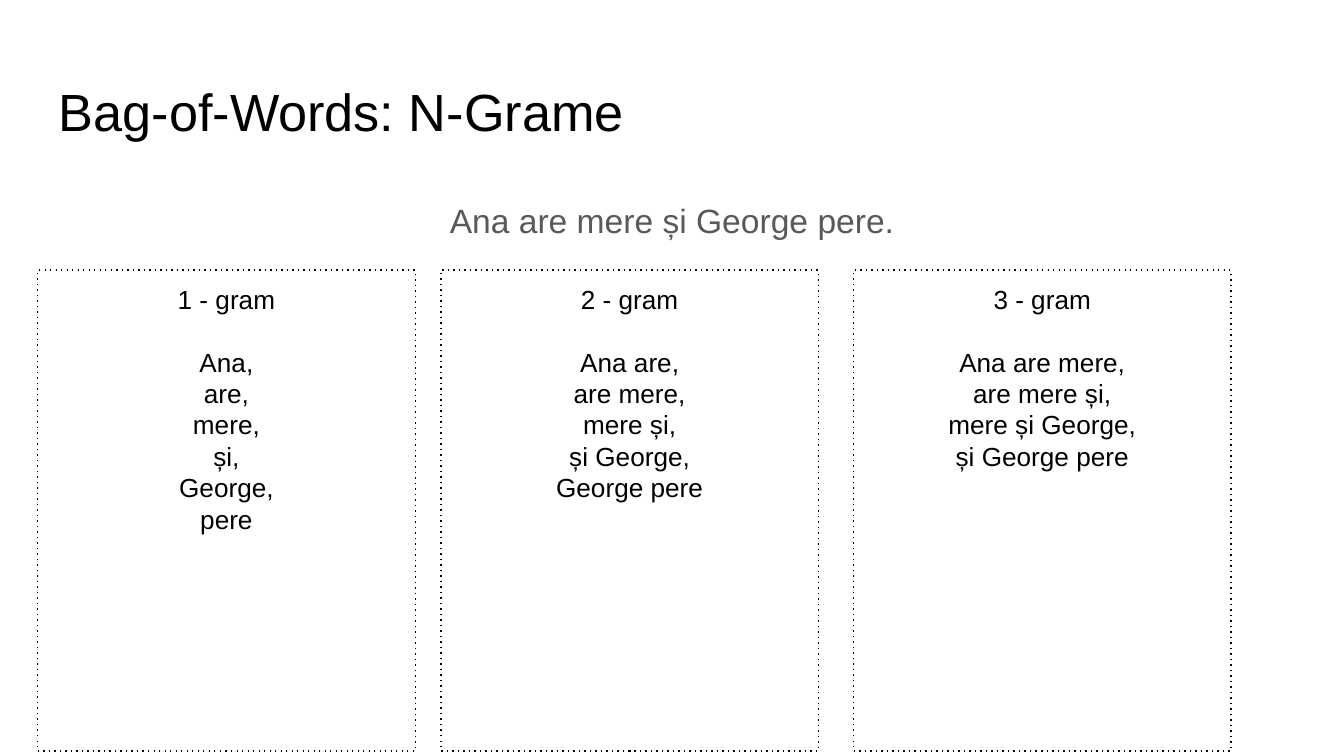
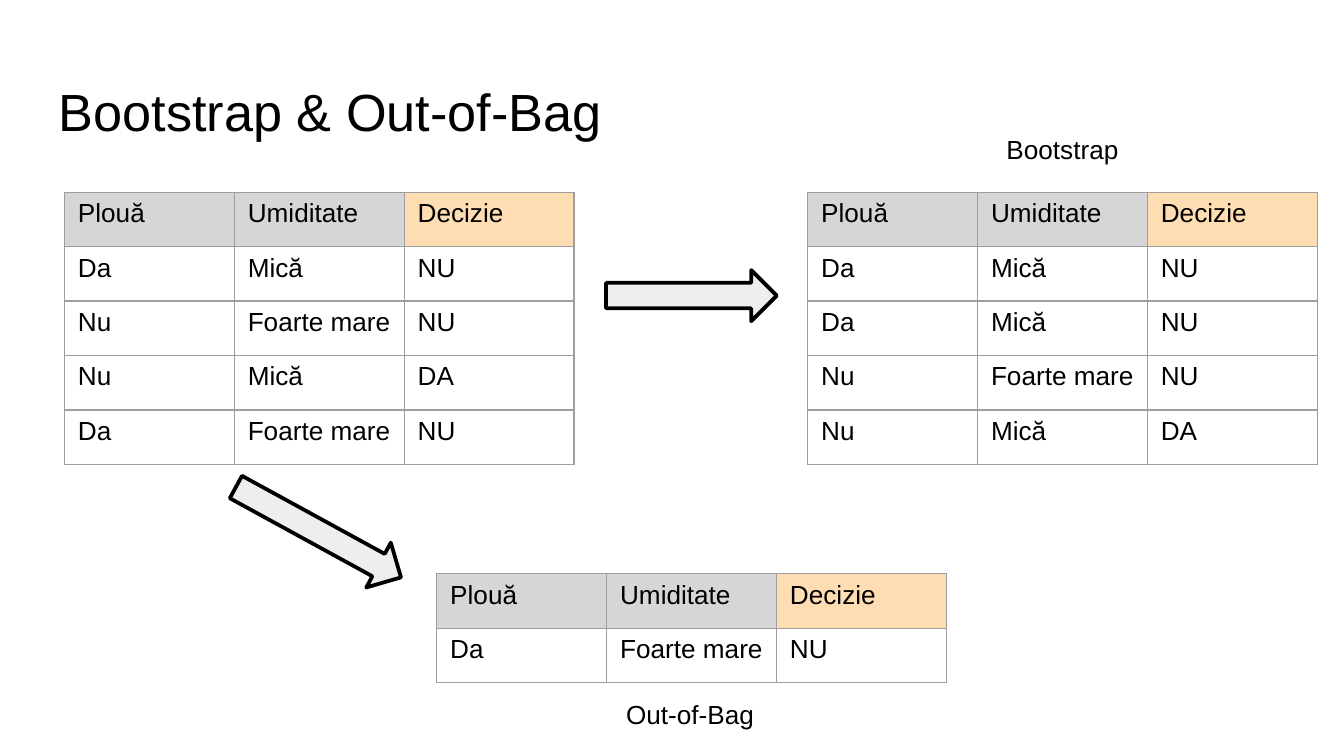
from lxml import etree
from pptx import Presentation
from pptx.dml.color import RGBColor
from pptx.enum.dml import MSO_LINE
from pptx.enum.shapes import MSO_SHAPE
from pptx.enum.text import MSO_ANCHOR, PP_ALIGN
from pptx.oxml.ns import qn
from pptx.util import Pt

PX = 9144  # 100 px to the inch
FONT = "Arial"
BLACK = RGBColor(0x00, 0x00, 0x00)
WHITE = RGBColor(0xFF, 0xFF, 0xFF)
BODY_GRAY = RGBColor(0x59, 0x59, 0x59)
HEADER_GRAY = RGBColor(0xD6, 0xD6, 0xD6)
DECISION_ORANGE = RGBColor(0xFF, 0xDD, 0xB3)
ARROW_GRAY = RGBColor(0xEE, 0xEE, 0xEE)
BORDER_HEX = "9E9E9E"
LEFT, CENTER = PP_ALIGN.LEFT, PP_ALIGN.CENTER
TOP = MSO_ANCHOR.TOP
ROUND_DOT = MSO_LINE.ROUND_DOT
RECTANGLE = MSO_SHAPE.RECTANGLE
RIGHT_ARROW, DOWN_ARROW = MSO_SHAPE.RIGHT_ARROW, MSO_SHAPE.DOWN_ARROW

HEADER = ["Plouă", "Umiditate", "Decizie"]
COLUMN_WIDTH, ROW_HEIGHT = 126.4, 40.5


def write(frame, lines, size=14, color=BLACK, align=LEFT, inset=10):
    """Fill a text frame with one paragraph per line, anchored at the top."""
    frame.vertical_anchor = TOP
    frame.margin_left = frame.margin_right = 10 * PX
    frame.margin_top = frame.margin_bottom = inset * PX
    for index, line in enumerate(lines):
        para = frame.paragraphs[0] if index == 0 else frame.add_paragraph()
        para.text = line
        para.alignment = align
        para.font.name = FONT
        para.font.size = Pt(size)
        para.font.color.rgb = color


def add_grid(page, left, top, rows):
    """Add a bordered table; a first row equal to HEADER is coloured."""
    grid = page.shapes.add_table(
        len(rows), len(HEADER), left * PX, top * PX,
        int(COLUMN_WIDTH * len(HEADER) * PX), int(ROW_HEIGHT * len(rows) * PX)
    ).table
    grid.first_row = grid.horz_banding = False
    for column in grid.columns:
        column.width = int(COLUMN_WIDTH * PX)
    for row_index, row in enumerate(rows):
        grid.rows[row_index].height = int(ROW_HEIGHT * PX)
        for column_index, value in enumerate(row):
            cell = grid.cell(row_index, column_index)
            write(cell.text_frame, [value], inset=5)
            properties = cell._tc.get_or_add_tcPr()
            for side in ("a:lnL", "a:lnR", "a:lnT", "a:lnB"):
                border = etree.SubElement(properties, qn(side), w=str(Pt(0.75)))
                paint = etree.SubElement(border, qn("a:solidFill"))
                etree.SubElement(paint, qn("a:srgbClr"), val=BORDER_HEX)
            cell.fill.solid()
            if row != HEADER:
                cell.fill.fore_color.rgb = WHITE
            elif value == "Decizie":
                cell.fill.fore_color.rgb = DECISION_ORANGE
            else:
                cell.fill.fore_color.rgb = HEADER_GRAY


deck = Presentation()
deck.slide_width, deck.slide_height = 1000 * PX, 5143500
blank = deck.slide_layouts[6]

pages = []
for title in ("Bag-of-Words: N-Grame", "Bootstrap & Out-of-Bag"):
    page = deck.slides.add_slide(blank)
    box = page.shapes.add_textbox(34 * PX, 49 * PX, 932 * PX, 63 * PX)
    box.text_frame.word_wrap = True
    write(box.text_frame, [title], size=28)
    pages.append(page)
ngram_page, bootstrap_page = pages

# N-grams
sentence = ngram_page.shapes.add_textbox(34 * PX, 134 * PX, 932 * PX, 374 * PX)
sentence.text_frame.word_wrap = True
write(sentence.text_frame, ["Ana are mere și George pere."], 18, BODY_GRAY, CENTER)
sentence.text_frame.paragraphs[0].line_spacing = 1.15
sentence.text_frame.paragraphs[0].space_after = Pt(16)

ngram_boxes = [
    (28, ["1 - gram", "Ana,", "are,", "mere,", "și,", "George,", "pere"]),
    (328, ["2 - gram", "Ana are,", "are mere,", "mere și,", "și George,", "George pere"]),
    (635, ["3 - gram", "Ana are mere,", "are mere și,", "mere și George,", "și George pere"]),
]
for left, lines in ngram_boxes:
    box = ngram_page.shapes.add_shape(RECTANGLE, left * PX, 201 * PX, 281 * PX, 358 * PX)
    box.shadow.inherit = False
    box.fill.background()
    box.line.color.rgb = BLACK
    box.line.width = Pt(0.75)
    box.line.dash_style = ROUND_DOT
    box._element.spPr.find(".//" + qn("a:prstDash")).set("val", "dot")
    write(box.text_frame, lines, align=CENTER)
    box.text_frame.paragraphs[0].space_after = Pt(16.7)

# Bootstrap and out-of-bag samples
tables = [
    (48, 143, [HEADER, ["Da", "Mică", "NU"], ["Nu", "Foarte mare", "NU"], ["Nu", "Mică", "DA"]]),
    (48, 305, [["Da", "Foarte mare", "NU"]]),
    (601, 143, [HEADER, ["Da", "Mică", "NU"], ["Da", "Mică", "NU"], ["Nu", "Foarte mare", "NU"]]),
    (601, 305, [["Nu", "Mică", "DA"]]),
    (325, 427, [HEADER, ["Da", "Foarte mare", "NU"]]),
]
for left, top, rows in tables:
    add_grid(bootstrap_page, left, top, rows)

arrows = [
    (RIGHT_ARROW, 451, 201, 127, 38, 0),
    (DOWN_ARROW, 218, 326, 38, 140, 298.7),
]
for kind, left, top, width, height, angle in arrows:
    arrow = bootstrap_page.shapes.add_shape(kind, left * PX, top * PX, width * PX, height * PX)
    arrow.rotation = angle
    arrow.shadow.inherit = False
    arrow.fill.solid()
    arrow.fill.fore_color.rgb = ARROW_GRAY
    arrow.line.color.rgb = BLACK
    arrow.line.width = Pt(2)

for label, left, top, width in (("Bootstrap", 739, 94, 104), ("Out-of-Bag", 456, 515, 116)):
    box = bootstrap_page.shapes.add_textbox(left * PX, top * PX, width * PX, 34 * PX)
    box.text_frame.word_wrap = False
    write(box.text_frame, [label], inset=5)

deck.save("out.pptx")
